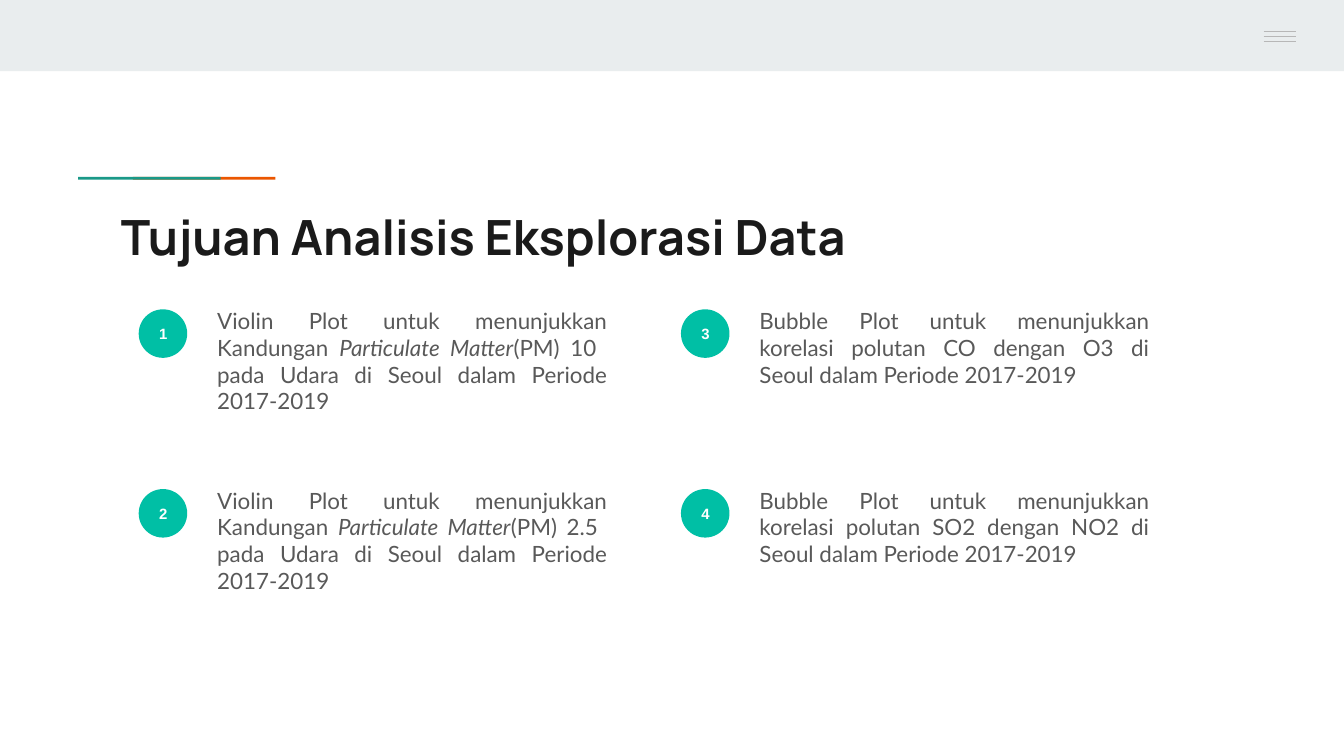
import pptx
import pptx.dml.color
import pptx.enum.shapes
import pptx.enum.text
import pptx.oxml.ns
import pptx.util
from lxml import etree

Pt = pptx.util.Pt
Shape = pptx.enum.shapes.MSO_SHAPE
Align = pptx.enum.text.PP_ALIGN
Anchor = pptx.enum.text.MSO_ANCHOR


def rgb(hex_code):
    return pptx.dml.color.RGBColor.from_string(hex_code)


def add_filled(kind, left, top, width, height, hex_code):
    """Add a preset shape with a flat fill, no outline and no shadow."""
    shape = slide.shapes.add_shape(kind, Pt(left), Pt(top), Pt(width), Pt(height))
    shape.shadow.inherit = False
    shape.fill.solid()
    shape.fill.fore_color.rgb = rgb(hex_code)
    shape.line.fill.background()
    return shape


presentation = pptx.Presentation()
presentation.slide_width, presentation.slide_height = Pt(720), Pt(405)
slide = presentation.slides.add_slide(presentation.slide_layouts[5])

frame_format = {
    "word_wrap": True,
    "auto_size": pptx.enum.text.MSO_AUTO_SIZE.NONE,
    "vertical_anchor": Anchor.TOP,
    "margin_left": Pt(7.2),
    "margin_right": Pt(7.2),
    "margin_top": Pt(7.2),
    "margin_bottom": Pt(7.2),
}
title_font = {"name": "Manrope", "size": Pt(26), "bold": True}
number_font = {"name": "Arial", "size": Pt(8), "bold": True}
goal_font = {"name": "Lato", "size": Pt(12)}

# Header band with menu icon
add_filled(Shape.RECTANGLE, 0, 0, 720, 38.2, "E9EDEE")
for menu_y in (17, 19.6, 22.2):
    menu_bar = slide.shapes.add_connector(
        pptx.enum.shapes.MSO_CONNECTOR.STRAIGHT,
        Pt(677), Pt(menu_y), Pt(694.2), Pt(menu_y))
    menu_bar.line.color.rgb = rgb("B7B7B7")
    menu_bar.line.width = Pt(0.75)
    etree.SubElement(menu_bar.element.spPr, pptx.oxml.ns.qn("a:effectLst"))

# Two-tone accent above the title, teal overlapping orange
for accent_left, accent_color in ((71.2, "EB5600"), (41.8, "1A9988")):
    add_filled(Shape.RECTANGLE, accent_left, 94.8, 76.4, 1.5, accent_color)

title = slide.shapes.title
title.left, title.top, title.width, title.height = Pt(57.6), Pt(103.7), Pt(605.5), Pt(42.5)
for key, value in frame_format.items():
    setattr(title.text_frame, key, value)
title.text_frame.text = "Tujuan Analisis Eksplorasi Data"
heading = title.text_frame.paragraphs[0]
heading.alignment = Align.LEFT
for key, value in title_font.items():
    setattr(heading.runs[0].font, key, value)
heading.runs[0].font.color.rgb = rgb("1A1A1A")

# Numbered goals run down the left column, then the right; each is (text, italic) runs
violin_start = ("Violin Plot untuk menunjukkan Kandungan ", False)
particulate = ("Particulate Matter", True)
goals = [
    [violin_start, particulate,
     ("(PM) 10  pada Udara di Seoul dalam Periode 2017-2019", False)],
    [violin_start, particulate,
     ("(PM) 2.5  pada Udara di Seoul dalam Periode 2017-2019", False)],
    [("Bubble Plot untuk menunjukkan korelasi polutan CO dengan O3 di Seoul "
      "dalam Periode 2017-2019", False)],
    [("Bubble Plot untuk menunjukkan korelasi polutan SO2 dengan NO2 di Seoul "
      "dalam Periode 2017-2019", False)],
]
for index, goal_runs in enumerate(goals):
    column, row = divmod(index, 2)
    left = 74.3 + column * 290.5
    top = 165.7 + row * 96.3

    badge = add_filled(Shape.OVAL, left, top, 26, 26, "00BFA5")
    for key, value in (frame_format | {"vertical_anchor": Anchor.MIDDLE}).items():
        setattr(badge.text_frame, key, value)
    badge.text_frame.text = str(index + 1)
    number = badge.text_frame.paragraphs[0]
    number.alignment = Align.CENTER
    for key, value in number_font.items():
        setattr(number.runs[0].font, key, value)
    number.runs[0].font.color.rgb = rgb("FFFFFF")

    goal = slide.shapes.add_textbox(Pt(left + 35), Pt(top - 8.5), Pt(223.2), Pt(82.8))
    for key, value in frame_format.items():
        setattr(goal.text_frame, key, value)
    sentence = goal.text_frame.paragraphs[0]
    sentence.alignment = Align.JUSTIFY
    for words, italic in goal_runs:
        run = sentence.add_run()
        run.text = words
        for key, value in (goal_font | {"italic": italic}).items():
            setattr(run.font, key, value)
        run.font.color.rgb = rgb("595959")

presentation.save("out.pptx")
